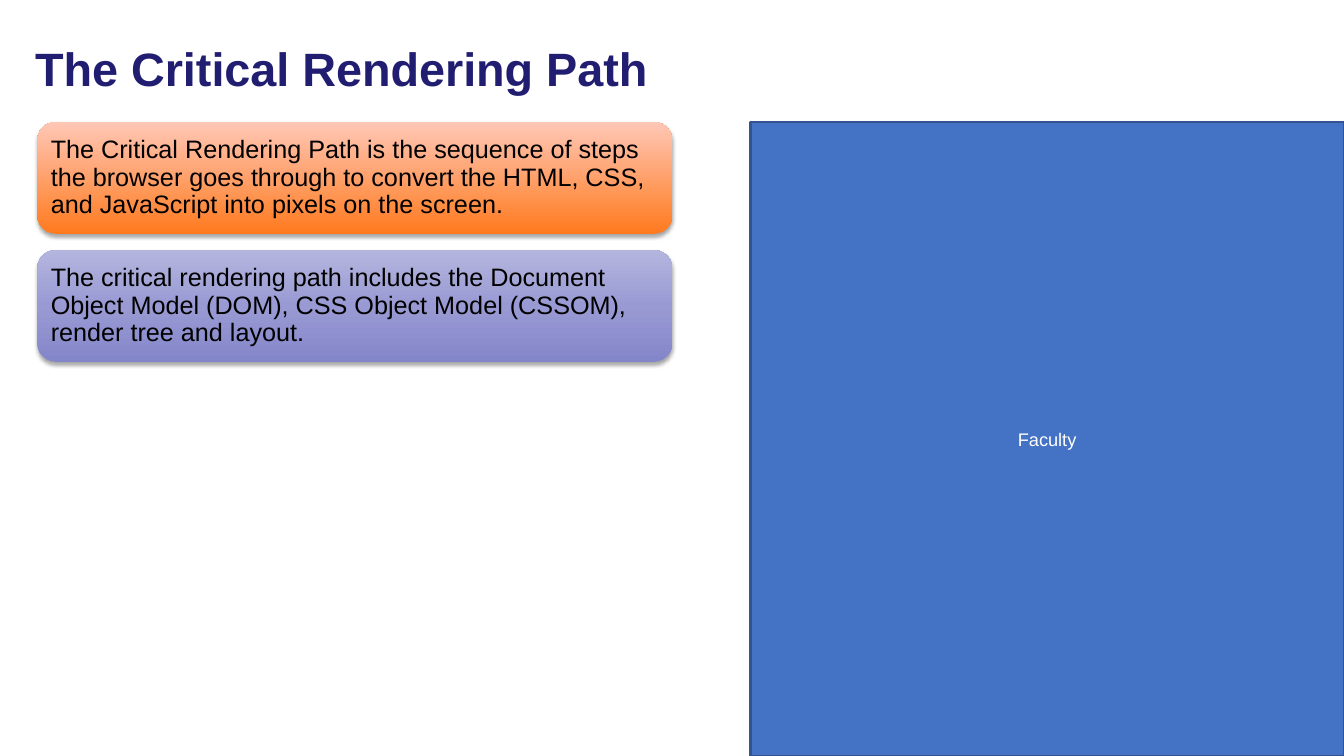
from copy import deepcopy

from lxml import etree
from pptx import Presentation
from pptx.dml.color import RGBColor
from pptx.enum.shapes import MSO_SHAPE
from pptx.enum.text import MSO_ANCHOR, PP_ALIGN
from pptx.oxml.ns import qn
from pptx.util import Inches, Pt

RECTANGLE = MSO_SHAPE.RECTANGLE
ROUNDED = MSO_SHAPE.ROUNDED_RECTANGLE
MIDDLE = MSO_ANCHOR.MIDDLE
LEFT, CENTER = PP_ALIGN.LEFT, PP_ALIGN.CENTER

WIDTH, HEIGHT = 13.33, 7.5
CONTENT_TOP = 1.21
CARD_LEFT, CARD_WIDTH, CARD_HEIGHT, CARD_PITCH = 0.37, 6.3, 1.11, 1.27
PANEL_LEFT = 7.44

CARDS = [
    ("The Critical Rendering Path is the sequence of steps the browser goes "
     "through to convert the HTML, CSS, and JavaScript into pixels on the screen.",
     ["FF7A1F", "FFC7B6"]),
    ("The critical rendering path includes the Document Object Model (DOM), "
     "CSS Object Model (CSSOM), render tree and layout.",
     ["8486CA", "999AD3", "B4B5DE"]),
]


def color(value):
    return RGBColor.from_string(value)


def set_all(target, values):
    for name, value in values.items():
        setattr(target, name, value)


def write(box, text, size, ink, align=LEFT, spacing=1.0, bold=False, insets=(0.1, 0.05)):
    side, end = (Inches(inset) for inset in insets)
    frame = box.text_frame
    set_all(frame, {"word_wrap": True, "vertical_anchor": MIDDLE,
                    "margin_left": side, "margin_right": side,
                    "margin_top": end, "margin_bottom": end})
    para = frame.paragraphs[0]
    set_all(para, {"alignment": align, "line_spacing": spacing})
    span = para.add_run()
    span.text = text
    set_all(span.font, {"name": "Arial", "size": Pt(size), "bold": bold})
    span.font.color.rgb = color(ink)


def add_box(page, kind, left, top, width, height):
    box = page.shapes.add_shape(kind, *map(Inches, (left, top, width, height)))
    box.shadow.inherit = False
    return box


def fill_gradient(box, shades):
    box.fill.gradient()
    box.fill.gradient_angle = 90
    stop_list = box.fill._xPr.find(qn("a:gradFill")).find(qn("a:gsLst"))
    while len(stop_list) < len(shades):
        stop_list.append(deepcopy(stop_list[-1]))
    for index, (stop, shade) in enumerate(zip(box.fill.gradient_stops, shades)):
        stop.position = index / (len(shades) - 1)
        stop.color.rgb = color(shade)


def add_shadow(box):
    effects = box.element.spPr.find(qn("a:effectLst"))
    shadow = etree.SubElement(effects, qn("a:outerShdw"), blurRad=str(Pt(3.1)),
                              dist=str(Pt(1.8)), dir="5400000", rotWithShape="0")
    black = etree.SubElement(shadow, qn("a:srgbClr"), val="000000")
    etree.SubElement(black, qn("a:alpha"), val="35000")


def add_title(page, text):
    box = page.shapes.add_textbox(*map(Inches, (0.25, 0.25, 11.81, 0.91)))
    write(box, text, 33.4, "211D70", spacing=0.9, bold=True)


def add_panel(page, text):
    box = add_box(page, RECTANGLE, PANEL_LEFT, CONTENT_TOP,
                  WIDTH - PANEL_LEFT, HEIGHT - CONTENT_TOP)
    box.fill.solid()
    box.fill.fore_color.rgb = color("4472C4")
    box.line.color.rgb = color("325491")
    box.line.width = Pt(2)
    write(box, text, 13, "FFFFFF", align=CENTER)


def add_card(page, row, text, shades):
    box = add_box(page, ROUNDED, CARD_LEFT, CONTENT_TOP + row * CARD_PITCH,
                  CARD_WIDTH, CARD_HEIGHT)
    fill_gradient(box, shades)
    box.line.fill.background()
    add_shadow(box)
    write(box, text, 18, "000000", spacing=0.9, insets=(0.08, 0.07))


def main():
    deck = Presentation()
    set_all(deck, {"slide_width": Inches(WIDTH), "slide_height": Inches(HEIGHT)})
    page = deck.slides.add_slide(deck.slide_layouts[6])
    add_panel(page, "Faculty")
    add_title(page, "The Critical Rendering Path")
    for row, (text, shades) in enumerate(CARDS):
        add_card(page, row, text, shades)
    deck.save("out.pptx")


if __name__ == "__main__":
    main()
